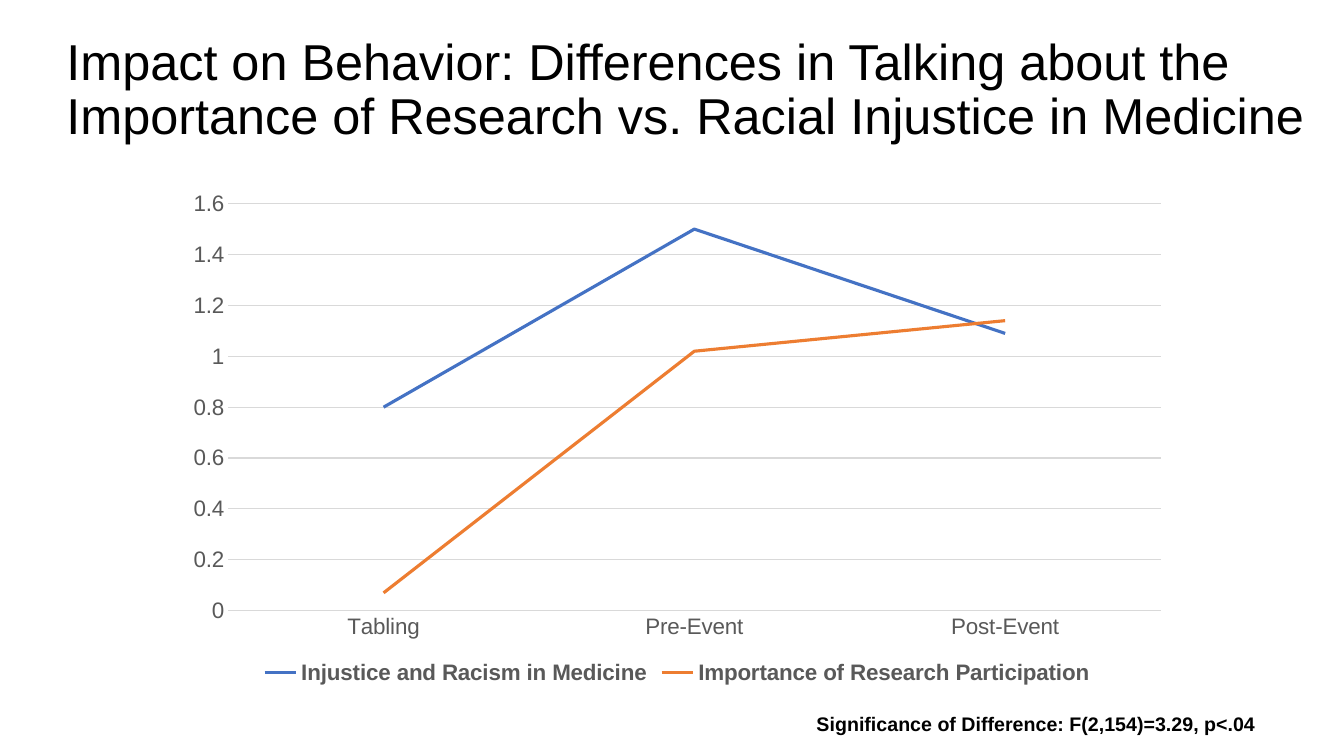
from dataclasses import dataclass

from pptx import Presentation
from pptx import util as u
from pptx.chart import data as chart_data
from pptx.dml.color import RGBColor
from pptx.enum import chart as ch, text as t


@dataclass(frozen=True)
class Theme:
    """Colours, font and type sizes of the slide."""
    face: str = "Arial"
    ink: str = "000000"
    label: str = "595959"
    grid: str = "D9D9D9"
    series: tuple = ("4472C4", "ED7D31")
    title_size: int = 36
    chart_size: int = 16
    note_size: int = 14
    hairline: float = 0.75
    stroke: float = 2.25


THEME = Theme()
WIDTH, HEIGHT = 13.33, 7.5
TITLE_BOX = (0.56, 0.18, 12.77, 1.45)
CHART_BOX = (1.72, 1.8, 9.99, 5.04)
NOTE_BOX = (8, 7.01, 5.33, 0.34)

CATEGORIES = ("Tabling", "Pre-Event", "Post-Event")
RESPONSES = {
    "Injustice and Racism in Medicine": (0.8, 1.5, 1.09),
    "Importance of Research Participation": (0.07, 1.02, 1.14),
}


def apply(target, formats):
    """Set every attribute of target listed in formats."""
    for name, value in formats.items():
        setattr(target, name, value)


def style_font(font, size, color, bold=False):
    """Give a font the theme face with a size, colour and weight."""
    apply(font, {"name": THEME.face, "size": u.Pt(size), "bold": bold})
    font.color.rgb = RGBColor.from_string(color)


def style_line(line, color, width):
    """Give a line a solid colour and a width in points."""
    line.color.rgb = RGBColor.from_string(color)
    line.width = u.Pt(width)


def add_text(page, box, wording, size, bold=False, spacing=1.0,
             anchor=t.MSO_ANCHOR.TOP):
    """Place one paragraph of wrapped text in the given box."""
    frame = page.shapes.add_textbox(*map(u.Inches, box)).text_frame
    apply(frame, {"word_wrap": True, "vertical_anchor": anchor})
    para = frame.paragraphs[0]
    para.line_spacing = spacing
    span = para.add_run()
    span.text = wording
    style_font(span.font, size, THEME.ink, bold)


def add_line_chart(page, box):
    """Place the line chart of responses in the given box."""
    table = chart_data.CategoryChartData()
    table.categories = CATEGORIES
    for name, values in RESPONSES.items():
        table.add_series(name, values)
    chart = page.shapes.add_chart(
        ch.XL_CHART_TYPE.LINE, *map(u.Inches, box), table).chart
    apply(chart, {"has_title": False, "has_legend": True})
    style_font(chart.font, THEME.chart_size, THEME.ink)
    apply(chart.legend, {"position": ch.XL_LEGEND_POSITION.BOTTOM,
                         "include_in_layout": False})
    style_font(chart.legend.font, THEME.chart_size, THEME.label, True)

    for axis in (chart.category_axis, chart.value_axis):
        apply(axis, {"major_tick_mark": ch.XL_TICK_MARK.NONE,
                     "minor_tick_mark": ch.XL_TICK_MARK.NONE})
        style_font(axis.tick_labels.font, THEME.chart_size, THEME.label)
    style_line(chart.category_axis.format.line, THEME.grid, THEME.hairline)
    values = chart.value_axis
    apply(values, {"minimum_scale": 0, "maximum_scale": 1.6,
                   "major_unit": 0.2, "has_major_gridlines": True})
    values.format.line.fill.background()
    style_line(values.major_gridlines.format.line, THEME.grid, THEME.hairline)

    chart.plots[0].vary_by_categories = False
    for series, color in zip(chart.plots[0].series, THEME.series):
        series.smooth = False
        series.marker.style = ch.XL_MARKER_STYLE.NONE
        style_line(series.format.line, color, THEME.stroke)


def build_slide(deck):
    """Add the behaviour impact slide to the deck."""
    page = deck.slides.add_slide(deck.slide_layouts[6])
    add_text(page, TITLE_BOX,
             "Impact on Behavior: Differences in Talking about the "
             "Importance of Research vs. Racial Injustice in Medicine",
             THEME.title_size, spacing=0.9, anchor=t.MSO_ANCHOR.MIDDLE)
    add_text(page, NOTE_BOX,
             "Significance of Difference: F(2,154)=3.29, p<.04",
             THEME.note_size, bold=True)
    add_line_chart(page, CHART_BOX)


def main():
    """Create the deck and save it."""
    deck = Presentation()
    apply(deck, {"slide_width": u.Inches(WIDTH),
                 "slide_height": u.Inches(HEIGHT)})
    build_slide(deck)
    deck.save("out.pptx")


if __name__ == "__main__":
    main()
